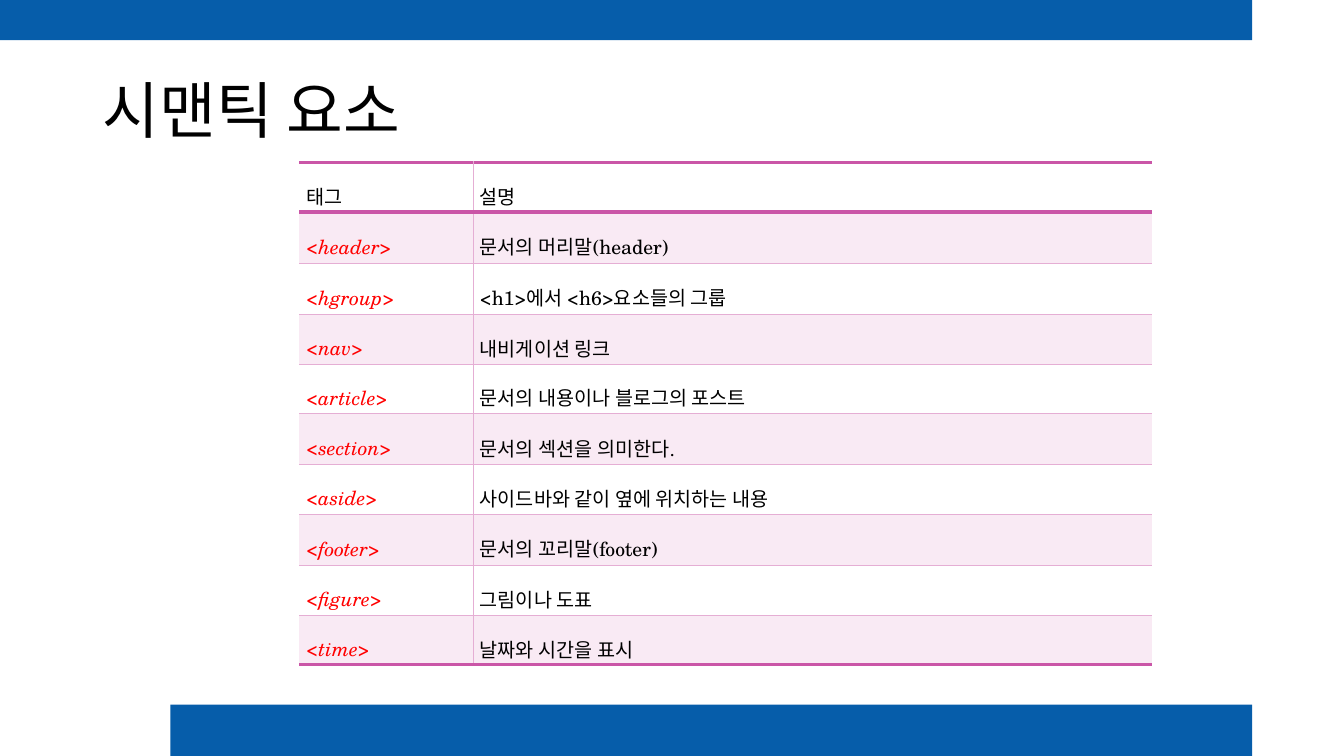
from dataclasses import dataclass

from lxml.etree import SubElement
from pptx import Presentation
from pptx.dml.color import RGBColor
from pptx.enum.shapes import MSO_SHAPE
from pptx.enum.text import MSO_ANCHOR, PP_ALIGN
from pptx.oxml import parse_xml
from pptx.oxml.ns import nsdecls, qn
from pptx.util import Inches, Pt

BLUE, BLACK, RED, WHITE = "065DAA", "000000", "FF0000", "FFFFFF"
PINK, THIN_PINK, DARK_PINK = "F9EAF4", "E5AED4", "CA56A7"
SANS, SERIF = "Noto Sans CJK KR", "TeX Gyre Schola"
WIDTH, HEIGHT = Inches(13.33), Inches(7.5)
COLUMNS = (1.72, 6.74)
ROW_HEIGHT = 0.36


@dataclass
class Band:
    left: float
    top: float
    width: float
    height: float


@dataclass
class Element:
    tag: str
    meaning: str


@dataclass
class Rule:
    color: str
    points: float


THIN, THICK = Rule(THIN_PINK, 0.28), Rule(DARK_PINK, 2.55)
BANDS = (Band(1.69, 6.99, 10.73, 0.51), Band(0, 0, 12.42, 0.4))
ELEMENTS = (
    Element("태그", "설명"),
    Element("<header>", "문서의 머리말(header)"),
    Element("<hgroup>", "<h1>에서 <h6>요소들의 그룹"),
    Element("<nav>", "내비게이션 링크"),
    Element("<article>", "문서의 내용이나 블로그의 포스트"),
    Element("<section>", "문서의 섹션을 의미한다."),
    Element("<aside>", "사이드바와 같이 옆에 위치하는 내용"),
    Element("<footer>", "문서의 꼬리말(footer)"),
    Element("<figure>", "그림이나 도표"),
    Element("<time>", "날짜와 시간을 표시"),
)


def rgb(value: str) -> RGBColor:
    return RGBColor.from_string(value)


def style(p, font: str, size: float, color: str, italic: bool = False) -> None:
    p.font.name, p.font.size = font, Pt(size)
    p.font.italic = italic
    p.font.color.rgb = rgb(color)
    props = p._p.pPr.find(qn("a:defRPr"))
    SubElement(props, qn("a:ea")).set("typeface", SANS)


def draw_band(s, band: Band) -> None:
    sp = s.shapes.add_shape(MSO_SHAPE.RECTANGLE, Inches(band.left), Inches(band.top),
                            Inches(band.width), Inches(band.height))
    sp.shadow.inherit = False
    sp.fill.solid()
    sp.fill.fore_color.rgb = rgb(BLUE)
    sp.line.fill.background()


def draw_title(s, text: str) -> None:
    sp = s.shapes.title
    sp.left, sp.top = Inches(0.92), Inches(0.4)
    sp.width, sp.height = Inches(11.5), Inches(1.45)
    tf = sp.text_frame
    tf.text = text
    tf.vertical_anchor = MSO_ANCHOR.MIDDLE
    p = tf.paragraphs[0]
    p.alignment, p.line_spacing = PP_ALIGN.LEFT, 0.9
    style(p, SANS, 44, BLACK)


def draw_borders(cell, rules: dict[str, Rule | None]) -> None:
    props = cell._tc.get_or_add_tcPr()
    for place, (side, rule) in enumerate(rules.items()):
        width = Pt(rule.points) if rule else 0
        fill = (f'<a:solidFill><a:srgbClr val="{rule.color}"/></a:solidFill>'
                if rule else "<a:noFill/>")
        props.insert(place, parse_xml(
            f'<a:ln{side} {nsdecls("a")} w="{width}">{fill}</a:ln{side}>'))


def fill_cell(cell, text: str, row: int, col: int) -> None:
    cell.text = text
    cell.vertical_anchor = MSO_ANCHOR.MIDDLE
    cell.margin_left = cell.margin_right = Inches(0.07)
    cell.margin_top = cell.margin_bottom = Inches(0.02)
    cell.fill.solid()
    cell.fill.fore_color.rgb = rgb(PINK if row % 2 else WHITE)
    p = cell.text_frame.paragraphs[0]
    p.alignment, p.line_spacing = PP_ALIGN.JUSTIFY, 1.6
    is_tag = row > 0 and col == 0
    style(p, SERIF, 14, RED if is_tag else BLACK, is_tag)
    draw_borders(cell, {
        "L": THIN if col else None,
        "R": None if col else THIN,
        "T": THICK if row < 2 else THIN,
        "B": THICK if row in (0, len(ELEMENTS) - 1) else THIN,
    })


def draw_table(s, elements: tuple[Element, ...]) -> None:
    table = s.shapes.add_table(len(elements), len(COLUMNS), Inches(2.97), Inches(1.61),
                               Inches(sum(COLUMNS)),
                               Inches(ROW_HEIGHT * len(elements))).table
    table.first_row = table.horz_banding = False
    for column, width in zip(table.columns, COLUMNS):
        column.width = Inches(width)
    for row, element in enumerate(elements):
        for col, text in enumerate((element.tag, element.meaning)):
            fill_cell(table.cell(row, col), text, row, col)


prs = Presentation()
prs.slide_width, prs.slide_height = WIDTH, HEIGHT
s = prs.slides.add_slide(prs.slide_layouts[5])
for band in BANDS:
    draw_band(s, band)
draw_title(s, "시맨틱 요소")
draw_table(s, ELEMENTS)
prs.save("out.pptx")
